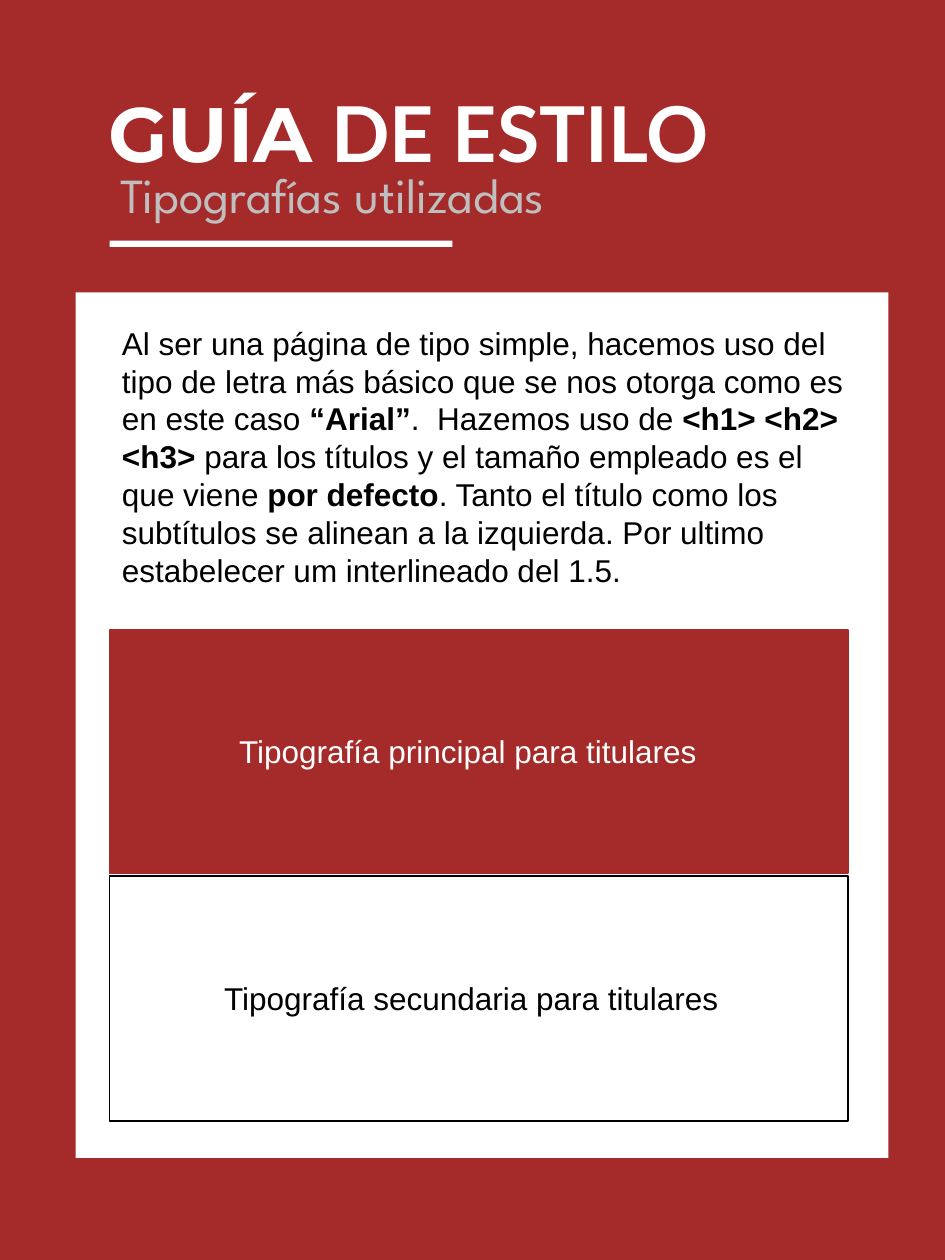
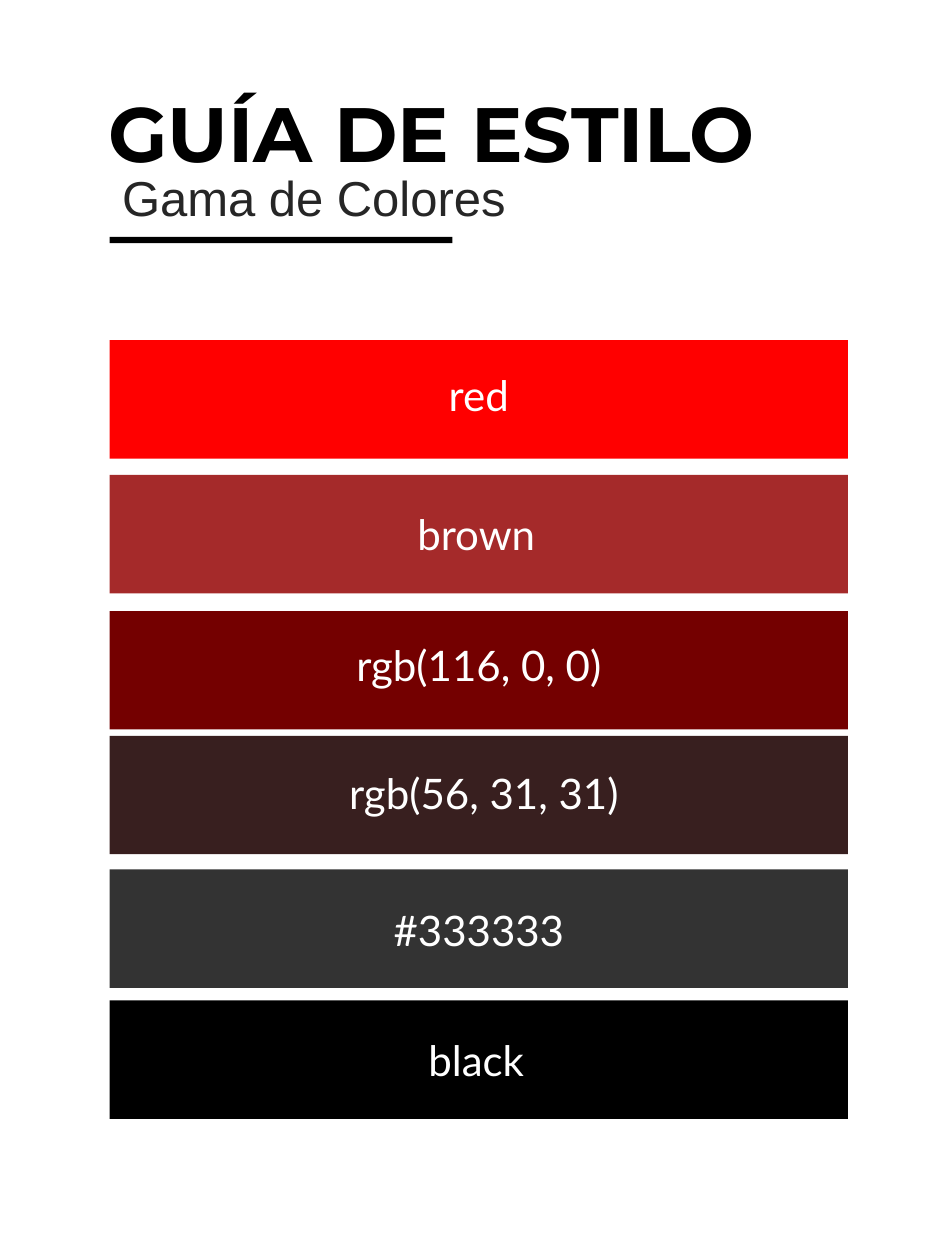
from pptx import Presentation
from pptx.dml.color import RGBColor
from pptx.enum.shapes import MSO_SHAPE as Shape
from pptx.enum.text import MSO_AUTO_SIZE as AutoSize, PP_ALIGN as Align
from pptx.util import Inches, Pt

BROWN, WHITE, BLACK = "A52A2A", "FFFFFF", "000000"
DARK_GRAY, LIGHT_GRAY = "262626", "BFBFBF"
TITLE_FONT, BODY_FONT, SWATCH_FONT = "Montserrat", "Arial", "Lato"
SUBTITLE_FONT = "League Spartan"
MARGIN, CONTENT_WIDTH = 0.87, 5.86
SWATCH_HEIGHT = 0.94

TYPOGRAPHY_TITLE = [("GUÍA", TITLE_FONT), (" DE ESTILO", SWATCH_FONT)]
COLORS_TITLE = [("GUÍA DE ESTILO", TITLE_FONT)]

DESCRIPTION = [
    ("Al ser una página de tipo simple, hacemos uso del tipo de letra más básico "
     "que se nos otorga como es en este caso ", False),
    ("“Arial”", True),
    (".  Hazemos uso de ", False),
    ("<h1> <h2> <h3>", True),
    (" para los títulos y el tamaño empleado es el que viene ", False),
    ("por defecto", True),
    (". Tanto el título como los subtítulos se alinean a la izquierda. "
     "Por ultimo estabelecer um interlineado del 1.5.", False),
]

SAMPLES = [
    ("Tipografía secundaria para titulares", (MARGIN, 6.95, CONTENT_WIDTH, 1.95),
     (1.68, 7.72, 4.14, 0.4), WHITE, BLACK, BLACK),
    ("Tipografía principal para titulares", (MARGIN, 5, CONTENT_WIDTH, 1.93),
     (1.8, 5.76, 3.83, 0.4), BROWN, BROWN, WHITE),
]

SWATCHES = [
    ("red", "FF0000", 2.7, 2.3, 2.88),
    ("brown", BROWN, 3.77, 2.28, 3.99),
    ("rgb(116, 0, 0)", "740000", 4.85, 2.3, 5.03),
    ("rgb(56, 31, 31)", "381F1F", 5.84, 2.34, 6.04),
    ("#333333", "333333", 6.9, 2.3, 7.13),
    ("black", BLACK, 7.94, 2.28, 8.16),
]


def color(value):
    return RGBColor.from_string(value)


def add_slide(presentation, background):
    slide = presentation.slides.add_slide(presentation.slide_layouts[6])
    fill = slide.background.fill
    fill.solid()
    fill.fore_color.rgb = color(background)
    return slide


def add_rectangle(slide, box, fill, line=None):
    shape = slide.shapes.add_shape(Shape.RECTANGLE, *map(Inches, box))
    shape.shadow.inherit = False
    shape.fill.solid()
    shape.fill.fore_color.rgb = color(fill)
    if line:
        shape.line.color.rgb = color(line)
        shape.line.width = Pt(1)
    else:
        shape.line.fill.background()


def add_text(slide, box, runs, size, align=Align.LEFT):
    frame = slide.shapes.add_textbox(*map(Inches, box)).text_frame
    frame.word_wrap = True
    frame.auto_size = AutoSize.SHAPE_TO_FIT_TEXT
    paragraph = frame.paragraphs[0]
    paragraph.alignment = align
    for text, font_name, font_color, bold in runs:
        run = paragraph.add_run()
        run.text = text
        run.font.name = font_name
        run.font.size = Pt(size)
        run.font.bold = bold
        run.font.color.rgb = color(font_color)


def add_heading(slide, title, title_color, subtitle, subtitle_box, rule_top):
    title_runs = [(text, font, title_color, True) for text, font in title]
    add_text(slide, (0.76, 0.63, 6.08, 0.84), title_runs, 44)
    add_text(slide, subtitle_box, subtitle, 28)
    add_rectangle(slide, (MARGIN, rule_top, 2.72, 0.05), title_color)


def build_typography(presentation):
    slide = add_slide(presentation, BROWN)
    add_rectangle(slide, (0.6, 2.32, 6.45, 6.87), WHITE)
    subtitle = [(" ", SUBTITLE_FONT, DARK_GRAY, False),
                ("Tipografías utilizadas", SUBTITLE_FONT, LIGHT_GRAY, False)]
    add_heading(slide, TYPOGRAPHY_TITLE, WHITE, subtitle, (0.76, 1.26, 5.16, 0.57), 1.91)
    description = [(text, BODY_FONT, BLACK, bold) for text, bold in DESCRIPTION]
    add_text(slide, (MARGIN, 2.52, 5.97, 2.22), description, 18)
    for label, panel, label_box, fill, line, label_color in SAMPLES:
        add_rectangle(slide, panel, fill, line)
        add_text(slide, label_box, [(label, BODY_FONT, label_color, False)], 18)


def build_colors(presentation):
    slide = add_slide(presentation, WHITE)
    subtitle = [("Gama de Colores", BODY_FONT, DARK_GRAY, False)]
    add_heading(slide, COLORS_TITLE, BLACK, subtitle, (MARGIN, 1.28, 4.91, 0.57), 1.88)
    for label, fill, top, label_left, label_top in SWATCHES:
        add_rectangle(slide, (MARGIN, top, CONTENT_WIDTH, SWATCH_HEIGHT), fill)
        add_text(slide, (label_left, label_top, 3, 0.5),
                 [(label, SWATCH_FONT, WHITE, False)], 24, Align.CENTER)


def main():
    presentation = Presentation()
    presentation.slide_width = Inches(7.5)
    presentation.slide_height = Inches(10)
    build_typography(presentation)
    build_colors(presentation)
    presentation.save("out.pptx")


if __name__ == "__main__":
    main()
